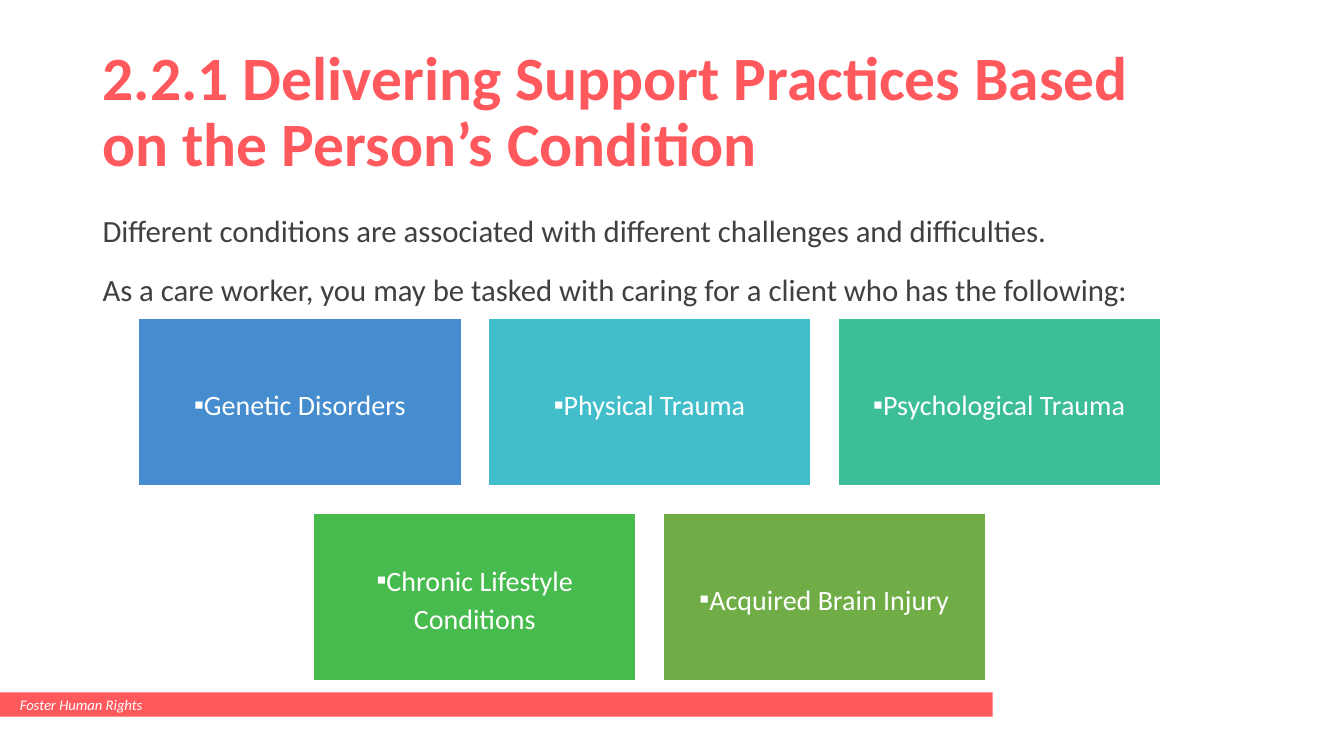
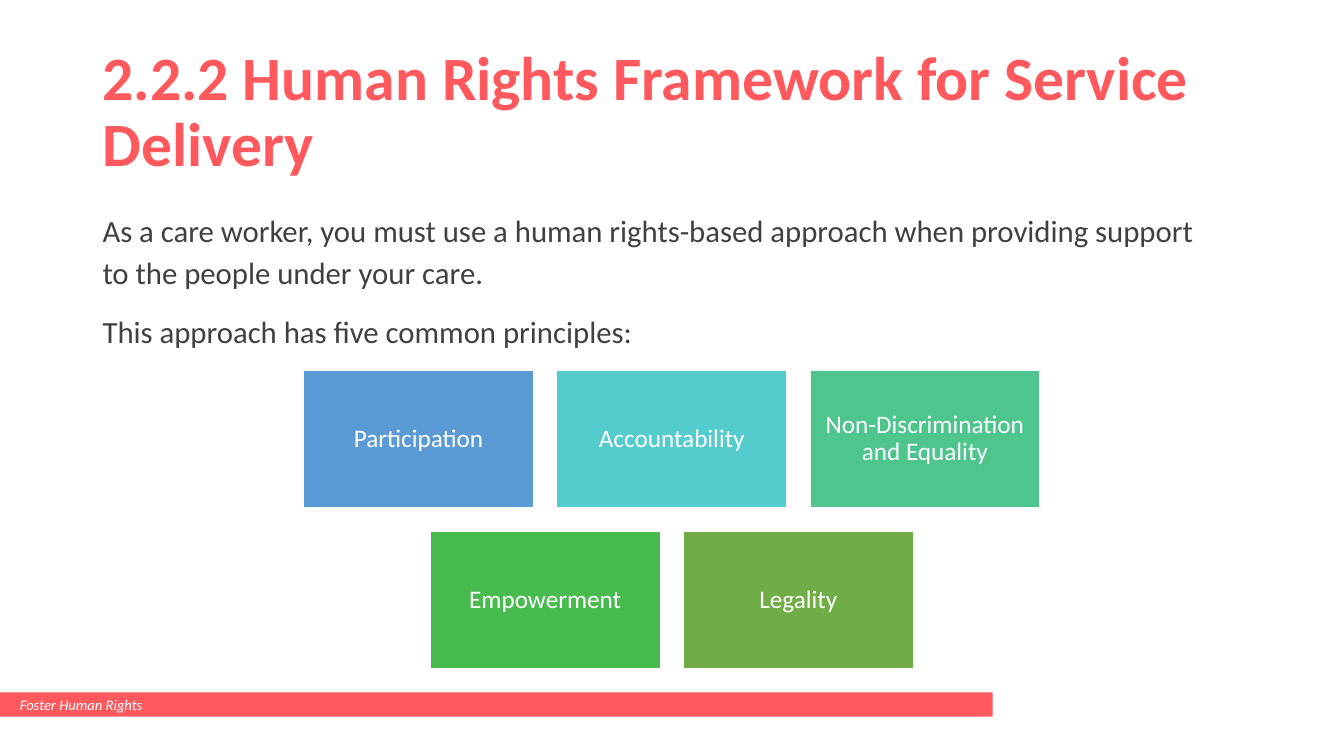
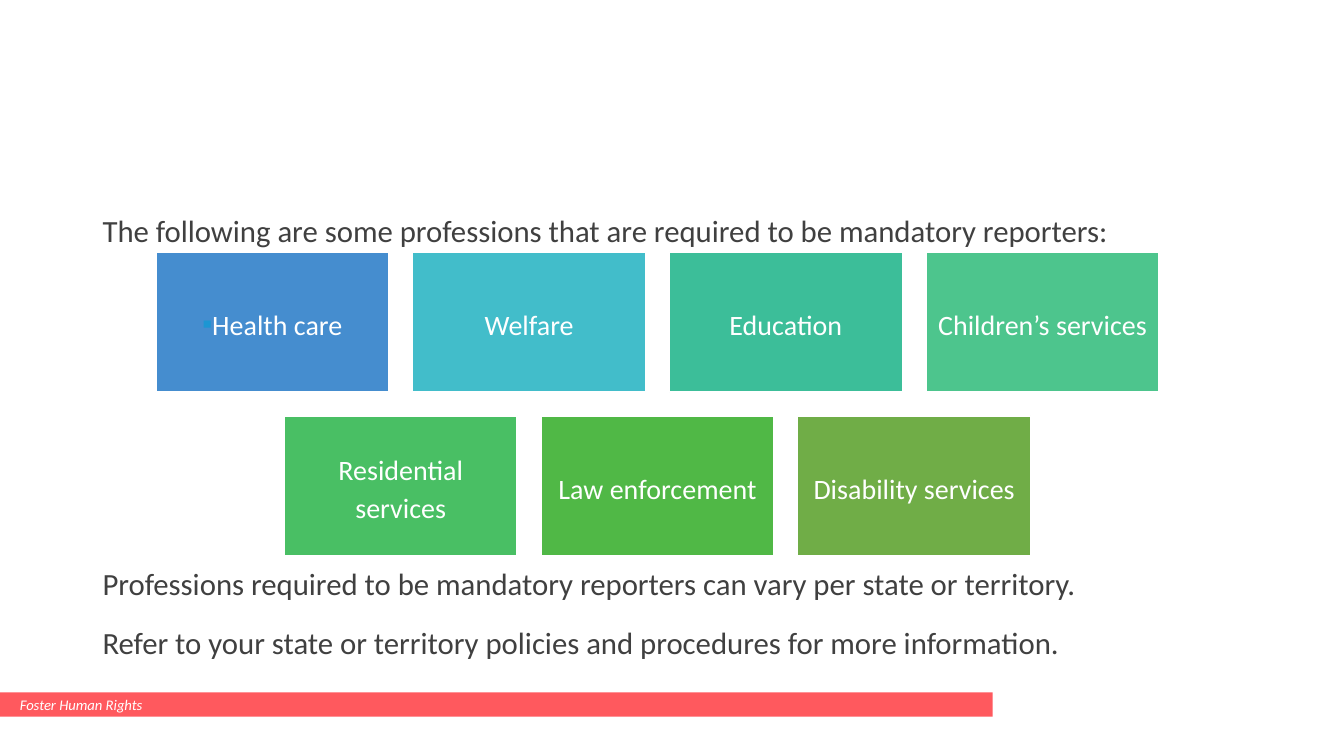
from lxml import etree
from pptx import Presentation
from pptx import util as u
from pptx.dml.color import RGBColor
from pptx.enum import shapes, text
from pptx.oxml.ns import qn

# Palette
CORAL = RGBColor(0xFF, 0x59, 0x5E)
GREY = RGBColor(0x40, 0x40, 0x40)
WHITE = RGBColor(0xFF, 0xFF, 0xFF)
BLUE = RGBColor(0x45, 0x8D, 0xCF)
LIGHT_BLUE = RGBColor(0x5B, 0x9B, 0xD5)
BRIGHT_BLUE = RGBColor(0x1C, 0x96, 0xD3)
CYAN = RGBColor(0x42, 0xBD, 0xCA)
AQUA = RGBColor(0x54, 0xCC, 0xCD)
TEAL = RGBColor(0x3C, 0xBE, 0x99)
MINT = RGBColor(0x4D, 0xC5, 0x8D)
EMERALD = RGBColor(0x49, 0xBF, 0x64)
GREEN = RGBColor(0x48, 0xBB, 0x4F)
LEAF = RGBColor(0x50, 0xB8, 0x46)
OLIVE = RGBColor(0x70, 0xAD, 0x47)


class Deck:
    """Holds the shared style and the slide being built."""

    FONT = "Calibri"
    LEFT, WIDTH = u.Cm(2.33), u.Cm(28.02)

    def __init__(self):
        self.prs = Presentation()
        self.prs.slide_width, self.prs.slide_height = u.Cm(33.87), u.Cm(19.05)

    def new_slide(self, title=None):
        self.s = self.prs.slides.add_slide(self.prs.slide_layouts[1])
        sp = self.s.shapes.title
        if title is None:
            sp.element.getparent().remove(sp.element)
        else:
            tf = self.place(sp, 1.02, 3.68, text.MSO_ANCHOR.MIDDLE)
            p = tf.paragraphs[0]
            p.alignment, p.line_spacing = text.PP_ALIGN.LEFT, 0.9
            self.run(p, title, 44, CORAL, bold=True)
        self.footer()

    def place(self, sp, top, height, anchor):
        sp.left, sp.top, sp.width, sp.height = self.LEFT, u.Cm(top), self.WIDTH, u.Cm(height)
        tf = sp.text_frame
        tf.word_wrap, tf.auto_size = True, text.MSO_AUTO_SIZE.NONE
        tf.vertical_anchor = anchor
        return tf

    def run(self, p, words, size, color, bold=False, italic=False):
        r = p.add_run()
        r.text = words
        f = r.font
        f.name, f.size, f.bold, f.italic = self.FONT, u.Pt(size), bold, italic
        f.color.rgb = color

    def bullet(self, p, color=None):
        """Square bullet in the given colour, or no bullet."""
        pPr = p._p.get_or_add_pPr()
        pPr.set("marL", "0")
        pPr.set("indent", "0")
        if color is None:
            etree.SubElement(pPr, qn("a:buNone"))
            return
        clr = etree.SubElement(pPr, qn("a:buClr"))
        etree.SubElement(clr, qn("a:srgbClr"), val=str(color))
        etree.SubElement(pPr, qn("a:buFont"), typeface=self.FONT)
        etree.SubElement(pPr, qn("a:buChar"), char="▪")

    def rect(self, left, top, width, height, fill, line=None):
        sp = self.s.shapes.add_shape(shapes.MSO_SHAPE.RECTANGLE, u.Cm(left), u.Cm(top),
                                     u.Cm(width), u.Cm(height))
        sp.shadow.inherit = False
        sp.fill.solid()
        sp.fill.fore_color.rgb = fill
        if line is None:
            sp.line.fill.background()
        else:
            sp.line.color.rgb, sp.line.width = line, u.Pt(1)
        tf = sp.text_frame
        tf.word_wrap, tf.vertical_anchor = True, text.MSO_ANCHOR.MIDDLE
        return tf

    def footer(self):
        tf = self.rect(0, 17.45, 25.02, 0.61, CORAL)
        tf.margin_left, tf.margin_top, tf.margin_bottom = u.Cm(0.5), 0, 0
        p = tf.paragraphs[0]
        p.alignment = text.PP_ALIGN.LEFT
        self.run(p, "Foster Human Rights", 10.5, WHITE, italic=True)

    def body(self, *lines, gaps=None):
        """Plain paragraphs; gaps gives other space before, by index."""
        tf = self.place(self.s.placeholders[1], 5.08, 12.09, text.MSO_ANCHOR.TOP)
        for i, words in enumerate(lines):
            p = tf.add_paragraph() if i else tf.paragraphs[0]
            self.bullet(p)
            p.line_spacing, p.space_after = 1.14, u.Pt(6)
            p.space_before = u.Pt((gaps or {}).get(i, 6) if i else 0)
            self.run(p, words, 22, GREY)

    def tiles(self, rows, center, top, width, height, gap, size=20, spacing=1.14):
        """Centred rows of tiles, each (label, fill[, bullet colour])."""
        for i, row in enumerate(rows):
            left = center - (len(row) * (width + gap) - gap) / 2
            for j, (label, fill, *mark) in enumerate(row):
                tf = self.rect(left + j * (width + gap), top + i * (height + gap),
                               width, height, fill, WHITE)
                tf.margin_left = tf.margin_right = u.Cm(0.2)
                tf.margin_top = tf.margin_bottom = u.Cm(0.2)
                p = tf.paragraphs[0]
                self.bullet(p, *mark)
                p.alignment, p.line_spacing = text.PP_ALIGN.CENTER, spacing
                self.run(p, label, size, WHITE)


def main():
    d = Deck()

    # Conditions
    d.new_slide("2.2.1 Delivering Support Practices Based on the Person’s Condition")
    d.body("Different conditions are associated with different challenges and difficulties.",
           "As a care worker, you may be tasked with caring for a client who has the following:")
    d.tiles([[("Genetic Disorders", BLUE, WHITE), ("Physical Trauma", CYAN, WHITE),
              ("Psychological Trauma", TEAL, WHITE)],
             [("Chronic Lifestyle Conditions", GREEN, WHITE),
              ("Acquired Brain Injury", OLIVE, WHITE)]],
            center=16.37, top=8.03, width=8.13, height=4.22, gap=0.68, spacing=1.13)

    # Principles
    d.new_slide("2.2.2 Human Rights Framework for Service Delivery")
    d.body("As a care worker, you must use a human rights-based approach when providing "
           "support to the people under your care.",
           "This approach has five common principles:")
    d.tiles([[("Participation", LIGHT_BLUE), ("Accountability", AQUA),
              ("Non-Discrimination and Equality", MINT)],
             [("Empowerment", GREEN), ("Legality", OLIVE)]],
            center=16.93, top=9.32, width=5.8, height=3.48, gap=0.58, size=18, spacing=0.9)

    # Mandatory reporters
    d.new_slide()
    d.body("The following are some professions that are required to be mandatory reporters:",
           "Professions required to be mandatory reporters can vary per state or territory.",
           "Refer to your state or territory policies and procedures for more information.",
           gaps={1: 216})
    d.tiles([[("Health care", BLUE, BRIGHT_BLUE), ("Welfare", CYAN), ("Education", TEAL),
              ("Children’s services", MINT)],
             [("Residential services", EMERALD), ("Law enforcement", LEAF),
              ("Disability services", OLIVE)]],
            center=16.57, top=6.35, width=5.87, height=3.53, gap=0.6)

    d.prs.save("out.pptx")


if __name__ == "__main__":
    main()
